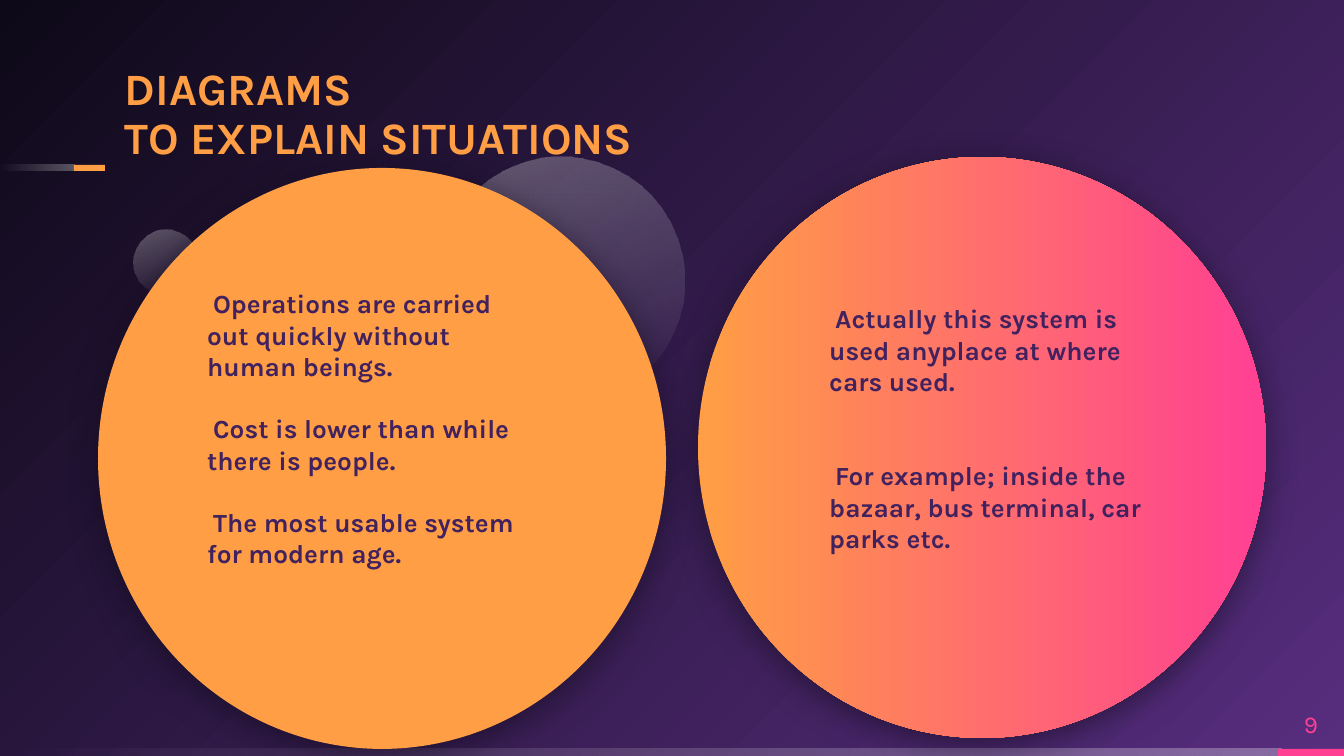
from dataclasses import dataclass

from lxml import etree
from pptx import Presentation
from pptx.dml.color import RGBColor
from pptx.enum.shapes import MSO_SHAPE as Shape
from pptx.enum.text import MSO_ANCHOR as Anchor, MSO_AUTO_SIZE as AutoSize, PP_ALIGN as Align
from pptx.oxml.ns import qn
from pptx.util import Pt


@dataclass(frozen=True)
class Theme:
    font: str = "Karla"
    orange: str = "FF9E44"
    pink: str = "FF4093"
    purple: str = "572D7E"
    ink: str = "41225E"
    night: str = "0E0918"
    white: str = "FFFFFF"
    title_size: int = 24
    body_size: int = 14
    number_size: int = 13


THEME = Theme()
WIDTH, HEIGHT = 1344, 756
GLASS = [(0, THEME.white, 30), (100, THEME.white, 0)]


def px(length):
    return round(length * 914400 / 134.4)


def add_node(parent, tag, **attributes):
    node = etree.SubElement(parent, qn(tag))
    for name, value in attributes.items():
        node.set(name, str(value))
    return node


def add_color(parent, color, alpha):
    node = add_node(parent, "a:srgbClr", val=color)
    if alpha < 100:
        add_node(node, "a:alpha", val=alpha * 1000)


def paint_gradient(owner, fill, stops, angle=None):
    """Linear at the given angle, or radial from the bottom right corner."""
    fill.gradient()
    gradient = owner.element.find(".//" + qn("a:gradFill"))
    for child in list(gradient):
        gradient.remove(child)
    stop_list = add_node(gradient, "a:gsLst")
    for position, color, alpha in stops:
        add_color(add_node(stop_list, "a:gs", pos=position * 1000), color, alpha)
    if angle is None:
        route = add_node(gradient, "a:path", path="circle")
        add_node(route, "a:fillToRect", l=100000, t=100000)
    else:
        add_node(gradient, "a:lin", ang=angle * 60000, scaled=0)


def add_figure(page, kind, box, paint, angle=180):
    """Paint is one colour or a list of gradient stops."""
    figure = page.shapes.add_shape(kind, *map(px, box))
    figure.shadow.inherit = False
    figure.line.fill.background()
    if isinstance(paint, str):
        figure.fill.solid()
        figure.fill.fore_color.rgb = RGBColor.from_string(paint)
    else:
        paint_gradient(figure, figure.fill, paint, angle)
    return figure


def add_text(page, box, lines, size, color, bold=False, inset=True):
    frame = page.shapes.add_textbox(*map(px, box)).text_frame
    frame.word_wrap = True
    if not inset:
        frame.margin_left = frame.margin_top = 0
        frame.margin_right = frame.margin_bottom = 0
    for index, line in enumerate(lines):
        para = frame.add_paragraph() if index else frame.paragraphs[0]
        para.text = line
        for span in para.runs:
            span.font.name = THEME.font
            span.font.size = Pt(size)
            span.font.bold = bold
            span.font.color.rgb = RGBColor.from_string(color)
    return frame


def add_title(page, box):
    left, top, width, height = box
    # Marker that runs in from the slide edge
    add_figure(page, Shape.RECTANGLE, (left, top + 59, 75, 6), GLASS)
    add_figure(page, Shape.RECTANGLE, (left + 74, top + 59, 31, 6), THEME.orange)
    # Heading
    frame = add_text(page, (left + 125, top, width - 125, height),
                     ["DIAGRAMS\vTO EXPLAIN SITUATIONS"],
                     THEME.title_size, THEME.orange, bold=True, inset=False)
    frame.vertical_anchor = Anchor.BOTTOM
    frame.paragraphs[0].line_spacing = 0.9


def add_footer(page, box):
    left, top, width, height = box
    tab, bar = 66, 7
    tab_left, bar_top = left + width - tab, top + height - bar
    add_figure(page, Shape.RECTANGLE, (left, bar_top, width - tab + 4, bar), GLASS)
    add_figure(page, Shape.RECTANGLE, (tab_left, bar_top, tab, bar), THEME.pink)
    # Page number
    frame = add_text(page, (tab_left, top, tab, height - bar), ["9"],
                     THEME.number_size, THEME.pink, inset=False)
    frame.vertical_anchor = Anchor.MIDDLE
    frame.paragraphs[0].alignment = Align.CENTER


def add_bubbles(page, box):
    left, top, width, _ = box
    for x, y, size in ((0, 73, 64), (width - 247, 0, 247)):
        bubble = add_figure(page, Shape.OVAL, (left + x, top + y, size, size), GLASS)
        bubble.rotation = 250


def add_disc(page, box, paint):
    disc = add_figure(page, Shape.OVAL, box, paint, angle=0)
    effects = disc.element.spPr.find(qn("a:effectLst"))
    shadow = add_node(effects, "a:outerShdw", blurRad=Pt(18), dist=Pt(4),
                      dir=90 * 60000, algn="bl", rotWithShape=0)
    add_color(shadow, THEME.night, 55)


def add_points(page, box, points, gap):
    frame = add_text(page, box, points, THEME.body_size, THEME.ink, bold=True)
    frame.auto_size = AutoSize.SHAPE_TO_FIT_TEXT
    for index, para in enumerate(frame.paragraphs):
        properties = para._p.get_or_add_pPr()
        properties.set("marL", "0")
        properties.set("indent", str(px(6)))
        if index:
            para.space_before = px(gap)


def main():
    deck = Presentation()
    deck.slide_width, deck.slide_height = px(WIDTH), px(HEIGHT)
    page = deck.slides.add_slide(deck.slide_layouts[6])
    paint_gradient(page, page.background.fill,
                   [(0, THEME.purple, 100), (100, THEME.night, 100)])

    add_footer(page, (0, 698, WIDTH, 58))
    add_bubbles(page, (134, 157, 550, 247))

    # Two discs
    add_disc(page, (698, 157, 568, 581),
             [(0, THEME.orange, 100), (100, THEME.pink, 100)])
    add_disc(page, (98, 168, 568, 581), THEME.orange)

    add_title(page, (0, 106, 905, 58))

    # Text on the discs
    add_points(page, (194, 281, 340, 331), [
        "Operations are carried out quickly without human beings.",
        "Cost is lower than while there is people.",
        "The most usable system for modern age.",
    ], gap=31)
    add_points(page, (816, 296, 362, 298), [
        "Actually this system is used anyplace at where cars used.",
        "For example; inside the bazaar, bus terminal, car parks etc.",
    ], gap=63)

    deck.save("out.pptx")


if __name__ == "__main__":
    main()
